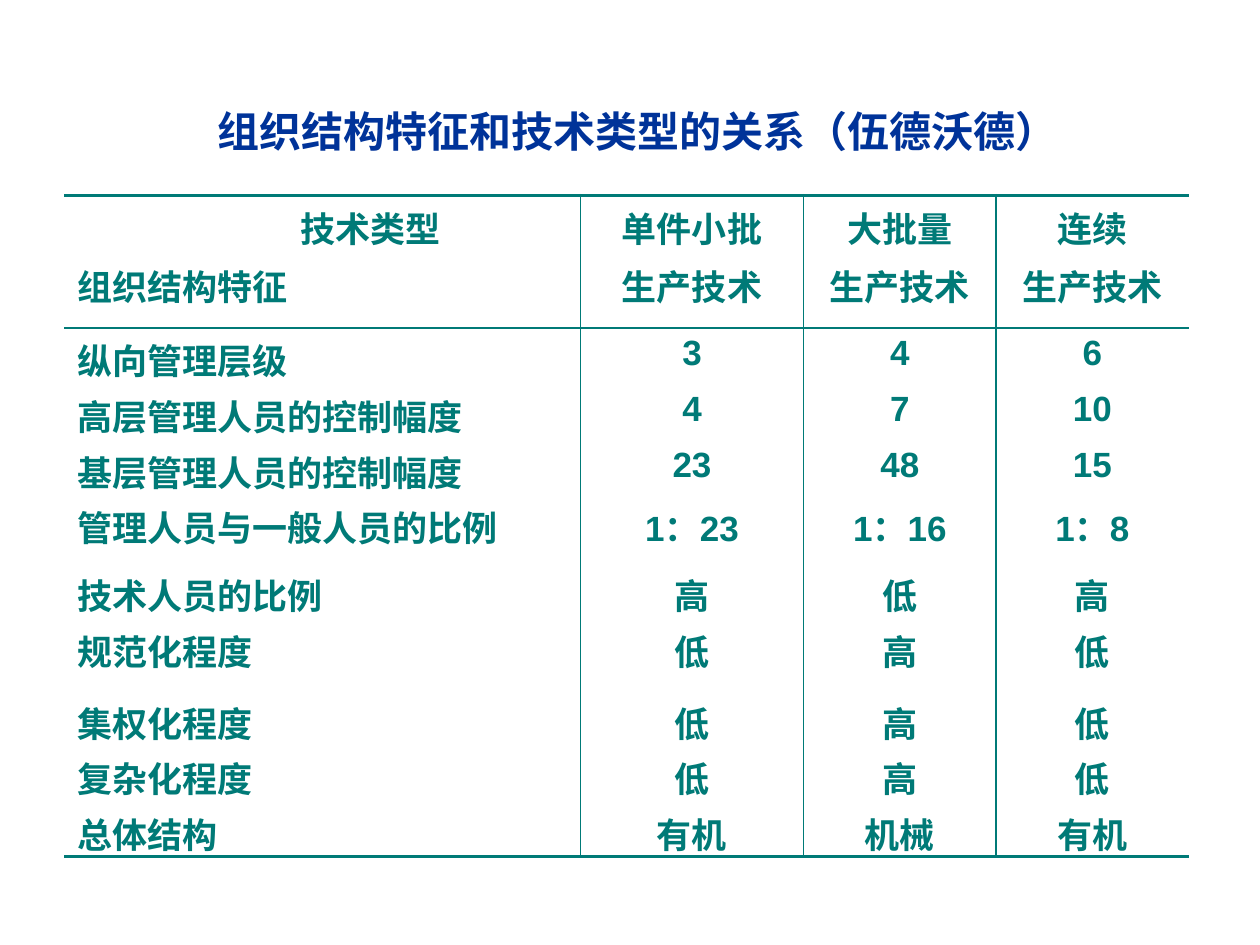
from dataclasses import dataclass

from lxml import etree
from pptx import Presentation
from pptx.dml.color import RGBColor
from pptx.enum.text import MSO_ANCHOR, PP_ALIGN
from pptx.oxml.ns import qn
from pptx.util import Cm, Pt

LEFT, CENTER = PP_ALIGN.LEFT, PP_ALIGN.CENTER
MIDDLE = MSO_ANCHOR.MIDDLE


@dataclass(frozen=True)
class Theme:
    font: str = "Arial"
    title_color: str = "003399"
    table_color: str = "007A77"
    title_size: int = 24
    table_size: int = 20
    line_gap: int = 4
    thin: float = 1
    thick: float = 2.25


TITLE = "组织结构特征和技术类型的关系（伍德沃德）"
HEADER = [
    ["技术类型", "组织结构特征"],
    ["单件小批", "生产技术"],
    ["大批量", "生产技术"],
    ["连续", "生产技术"],
]
FEATURES = [
    ("纵向管理层级", "3", "4", "6"),
    ("高层管理人员的控制幅度", "4", "7", "10"),
    ("基层管理人员的控制幅度", "23", "48", "15"),
    ("管理人员与一般人员的比例", "1：23", "1：16", "1：8"),
    ("技术人员的比例", "高", "低", "高"),
    ("规范化程度", "低", "高", "低"),
    ("集权化程度", "低", "高", "低"),
    ("复杂化程度", "低", "高", "低"),
    ("总体结构", "有机", "机械", "有机"),
]
COLUMN_WIDTHS = [10.4, 4.5, 3.88, 3.88]
ROW_HEIGHTS = [2.67, 1.12, 1.12, 1.12, 1.37, 1.12, 1.45, 1.12, 1.12, 1.12]
HEADER_INDENT = 4.5


class SlideBuilder:
    def __init__(self, slide, theme):
        self.slide = slide
        self.theme = theme

    def add_lines(self, frame, lines, size, color, align):
        for number, line in enumerate(lines):
            para = frame.paragraphs[0] if number == 0 else frame.add_paragraph()
            para.alignment = align
            para.space_before = Pt(self.theme.line_gap if number else 0)
            span = para.add_run()
            span.text = line
            font_format = {"name": self.theme.font, "size": Pt(size), "bold": True}
            for name, value in font_format.items():
                setattr(span.font, name, value)
            span.font.color.rgb = RGBColor.from_string(color)

    def title(self, text, left, top, width, height):
        box = self.slide.shapes.add_textbox(Cm(left), Cm(top), Cm(width), Cm(height))
        frame_format = {
            "word_wrap": True,
            "vertical_anchor": MIDDLE,
            "margin_left": Cm(0.7),
        }
        for name, value in frame_format.items():
            setattr(box.text_frame, name, value)
        self.add_lines(box.text_frame, [text], self.theme.title_size,
                       self.theme.title_color, CENTER)

    def borders(self, cell, widths):
        """Draw each edge at its width in points; zero hides the edge."""
        properties = cell._tc.get_or_add_tcPr()
        for edge, width in widths.items():
            line = etree.SubElement(properties, qn(f"a:ln{edge}"), w=str(Pt(width)))
            if width:
                fill = etree.SubElement(line, qn("a:solidFill"))
                etree.SubElement(fill, qn("a:srgbClr"), val=self.theme.table_color)
            else:
                etree.SubElement(line, qn("a:noFill"))

    def table(self, rows, left, top, column_widths, row_heights):
        theme = self.theme
        table = self.slide.shapes.add_table(
            len(rows), len(column_widths), Cm(left), Cm(top),
            Cm(sum(column_widths)), Cm(sum(row_heights))).table
        table.first_row = table.horz_banding = False
        for column, width in zip(table.columns, column_widths):
            column.width = Cm(width)
        for row, height in zip(table.rows, row_heights):
            row.height = Cm(height)

        last_row, last_column = len(rows) - 1, len(column_widths) - 1
        top_widths = {0: theme.thick, 1: theme.thin}
        bottom_widths = {0: theme.thin, last_row: theme.thick}
        for r, row in enumerate(rows):
            for c, lines in enumerate(row):
                cell = table.cell(r, c)
                self.add_lines(cell.text_frame, lines, theme.table_size,
                               theme.table_color, CENTER if c else LEFT)
                self.borders(cell, {
                    "L": theme.thin if c else 0,
                    "R": theme.thin if c < last_column else 0,
                    "T": top_widths.get(r, 0),
                    "B": bottom_widths.get(r, 0),
                })
                cell.fill.background()
        return table


def indent(para, distance):
    para._p.get_or_add_pPr().set("marL", str(Cm(distance)))


def main():
    deck = Presentation()
    deck.slide_width, deck.slide_height = Cm(25.4), Cm(19.05)
    page = SlideBuilder(deck.slides.add_slide(deck.slide_layouts[6]), Theme())

    page.title(TITLE, 1.3, 1.93, 22.66, 1.4)
    rows = [HEADER] + [[[text] for text in feature] for feature in FEATURES]
    table = page.table(rows, 1.3, 3.94, COLUMN_WIDTHS, ROW_HEIGHTS)
    indent(table.cell(0, 0).text_frame.paragraphs[0], HEADER_INDENT)

    deck.save("out.pptx")


if __name__ == "__main__":
    main()
